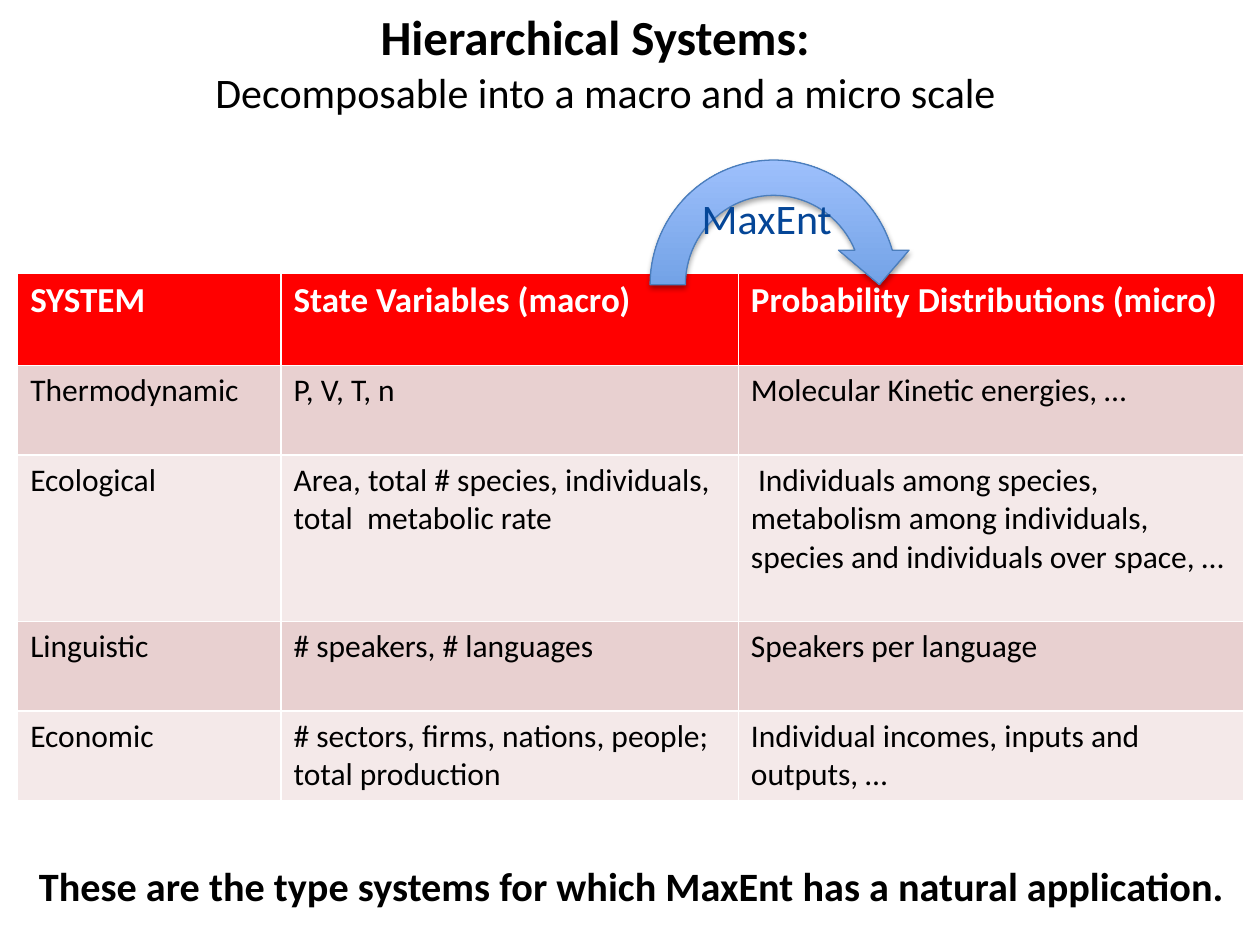
"""Builds a slide on hierarchical systems with a table, a curved arrow and captions."""
from dataclasses import dataclass

from lxml import etree
from pptx import Presentation
from pptx import util as u
from pptx.dml.color import RGBColor
from pptx.enum import shapes, text
from pptx.oxml.ns import qn


@dataclass(frozen=True)
class Theme:
    """Colours, font and type sizes of the slide."""
    font: str = "Calibri"
    ink: str = "000000"
    paper: str = "FFFFFF"
    header: str = "FF0000"
    bands: tuple = ("E8D0D0", "F4E9E9")
    arrow: tuple = ("3F80CE", "A4C4FF")
    arrow_line: str = "4B7EBC"
    label: str = "054697"
    title: int = 28
    subtitle: int = 24
    closing: int = 23
    head: int = 20
    body: int = 18


@dataclass(frozen=True)
class Box:
    """A frame in percent of the slide's width and height."""
    x: float
    y: float
    w: float
    h: float

    def frame(self) -> tuple:
        """Return left, top, width and height as lengths."""
        return across(self.x), down(self.y), across(self.w), down(self.h)


@dataclass(frozen=True)
class Caption:
    """A single line of text, its frame, indent in inches and type."""
    words: str
    box: Box
    indent: float
    size: int
    bold: bool


@dataclass(frozen=True)
class System:
    """A table row with its height in percent of the slide."""
    height: float
    cells: tuple


T = Theme()
WIDTH, HEIGHT = u.Inches(10), u.Inches(7.5)
COLUMNS = (20.9, 36.3, 40.1)
ROWS = (
    System(9.8, ("SYSTEM", "State Variables (macro)", "Probability Distributions (micro)")),
    System(9.5, ("Thermodynamic", "P, V, T, n", "Molecular Kinetic energies, …")),
    System(17.6, ("Ecological",
                  "Area, total # species, individuals, total  metabolic rate",
                  " Individuals among species, metabolism among individuals, "
                  "species and individuals over space, …")),
    System(9.5, ("Linguistic", "# speakers, # languages", "Speakers per language")),
    System(9.5, ("Economic", "# sectors, firms, nations, people; total production",
                 "Individual incomes, inputs and outputs, …")),
)
TITLE = Caption("Hierarchical Systems:", Box(8.9, 0, 79.4, 7.6), 2.03, T.title, True)
SUBTITLE = Caption("Decomposable into a macro and a micro scale",
                   Box(2.6, 6.4, 97.4, 6.67), 1.35, T.subtitle, False)
CLOSING = Caption("These are the type systems for which MaxEnt has a natural application.",
                  Box(1.4, 90.53, 98.6, 10.53), 0.07, T.closing, True)
ARROW = Box(50.2, 15.07, 22.4, 30.13)
LABEL = Box(50.9, 19.73, 19.9, 20.13)


def across(percent: float) -> int:
    """Return a share of the slide's width."""
    return round(WIDTH * percent / 100)


def down(percent: float) -> int:
    """Return a share of the slide's height."""
    return round(HEIGHT * percent / 100)


def rgb(code: str) -> RGBColor:
    """Return a colour from its hexadecimal code."""
    return RGBColor.from_string(code)


def add_run(p, words: str, size: int, color: str, bold: bool = False):
    """Add one formatted run to a paragraph."""
    r = p.add_run()
    r.text = words
    r.font.size, r.font.bold = u.Pt(size), bold
    r.font.color.rgb = rgb(color)
    r.font.name = T.font
    return r


def add_shadow(effects) -> None:
    """Add a soft downward shadow to an effect list."""
    shadow = etree.SubElement(effects, qn("a:outerShdw"), blurRad=str(u.Pt(3.1)),
                              dist=str(u.Pt(1.8)), dir="5400000", rotWithShape="0")
    color = etree.SubElement(shadow, qn("a:srgbClr"), val=T.ink)
    etree.SubElement(color, qn("a:alpha"), val="35000")


def write_caption(sp, caption: Caption) -> None:
    """Place a text shape and write its caption."""
    sp.left, sp.top, sp.width, sp.height = caption.box.frame()
    tf = sp.text_frame
    tf.word_wrap, tf.auto_size = True, text.MSO_AUTO_SIZE.NONE
    tf.vertical_anchor = text.MSO_ANCHOR.TOP
    p = tf.paragraphs[0]
    p.alignment, p.space_before = text.PP_ALIGN.LEFT, u.Pt(0)
    add_run(p, caption.words, caption.size, T.ink, caption.bold)
    props = p._p.get_or_add_pPr()
    props.set("marL", str(u.Inches(caption.indent)))
    props.set("indent", "0")
    etree.SubElement(props, qn("a:buNone"))


def add_systems(s) -> None:
    """Draw the table of systems."""
    box = Box(1.4, 28.87, sum(COLUMNS), sum(row.height for row in ROWS))
    table = s.shapes.add_table(len(ROWS), len(COLUMNS), *box.frame()).table
    for column, share in zip(table.columns, COLUMNS):
        column.width = across(share)
    for i, row in enumerate(ROWS):
        table.rows[i].height = down(row.height)
        head = i == 0
        fill = T.header if head else T.bands[(i - 1) % 2]
        size, color = (T.head, T.paper) if head else (T.body, T.ink)
        for j, words in enumerate(row.cells):
            cell = table.cell(i, j)
            cell.fill.solid()
            cell.fill.fore_color.rgb = rgb(fill)
            add_run(cell.text_frame.paragraphs[0], words, size, color, head)


def add_arrow(s) -> None:
    """Draw the curved arrow from macro to micro."""
    sp = s.shapes.add_shape(shapes.MSO_SHAPE.CIRCULAR_ARROW, *ARROW.frame())
    sp.fill.gradient()
    sp.fill.gradient_angle = 90
    for stop, color, position in zip(sp.fill.gradient_stops, T.arrow, (0, 1)):
        stop.color.rgb, stop.position = rgb(color), position
    sp.line.color.rgb, sp.line.width = rgb(T.arrow_line), u.Pt(0.75)
    sp.shadow.inherit = False
    add_shadow(sp._element.spPr.find(qn("a:effectLst")))


def add_label(s) -> None:
    """Write the label inside the curved arrow."""
    tf = s.shapes.add_textbox(*LABEL.frame()).text_frame
    tf.word_wrap = False
    p = tf.paragraphs[0]
    p.alignment = text.PP_ALIGN.CENTER
    r = add_run(p, "MaxEnt", T.subtitle, T.label)
    effects = etree.Element(qn("a:effectLst"))
    add_shadow(effects)
    r.font._element.insert(1, effects)


def main() -> None:
    """Build and save the slide."""
    prs = Presentation()
    prs.slide_width, prs.slide_height = WIDTH, HEIGHT
    s = prs.slides.add_slide(prs.slide_layouts[1])
    write_caption(s.shapes.title, TITLE)
    write_caption(s.placeholders[1], SUBTITLE)
    add_systems(s)
    write_caption(s.shapes.add_textbox(*CLOSING.box.frame()), CLOSING)
    add_arrow(s)
    add_label(s)
    prs.save("out.pptx")


main()
